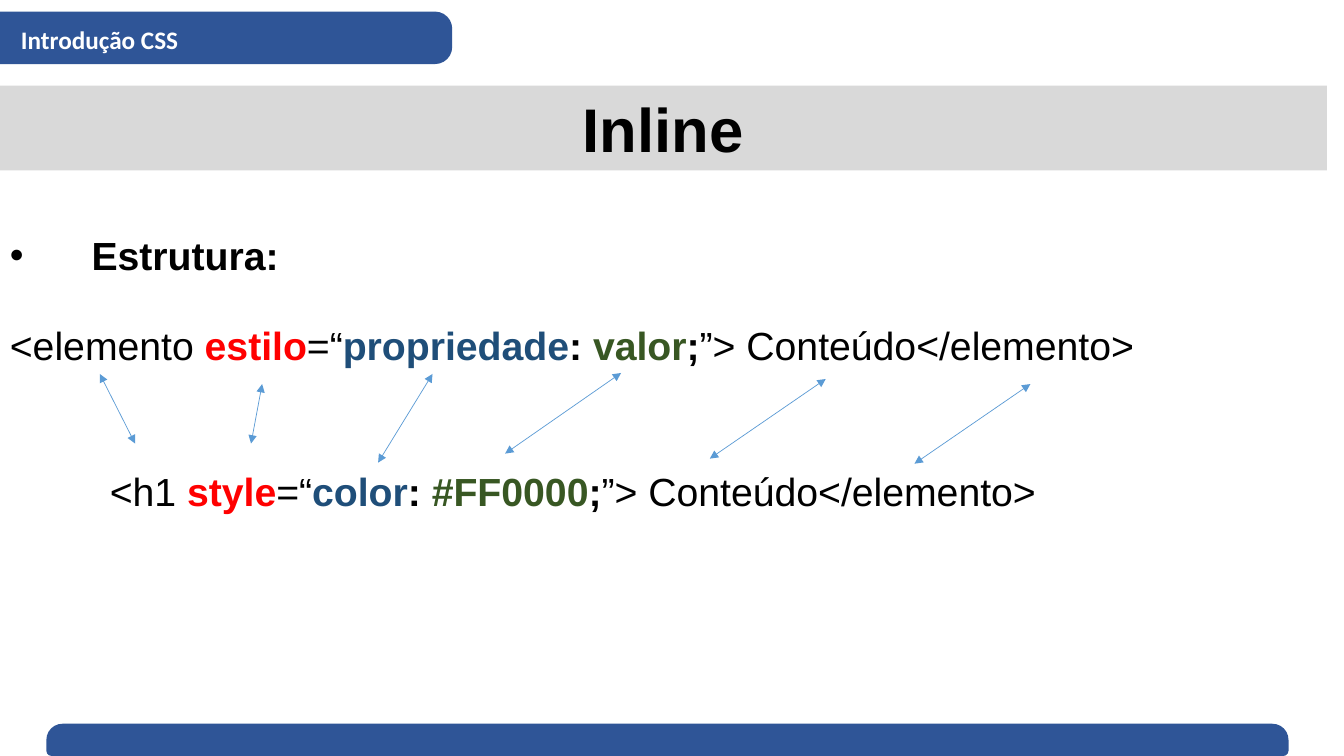
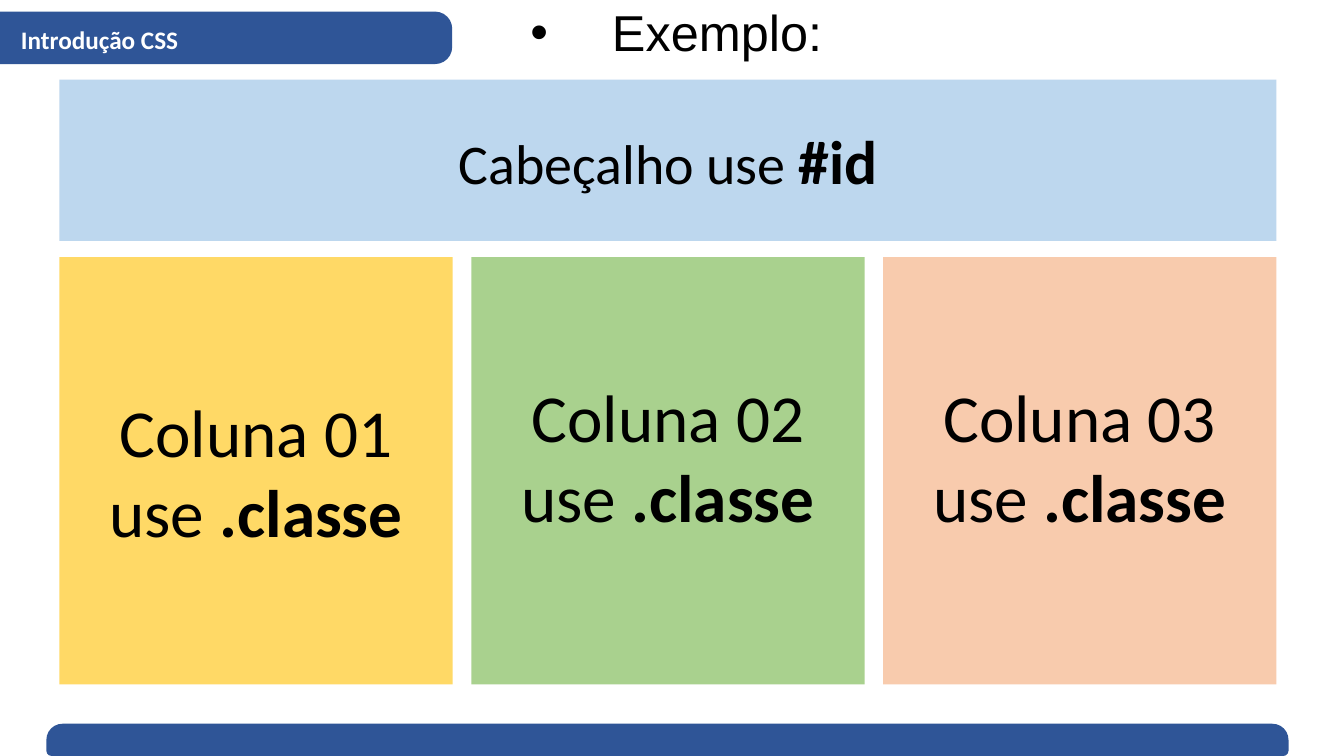
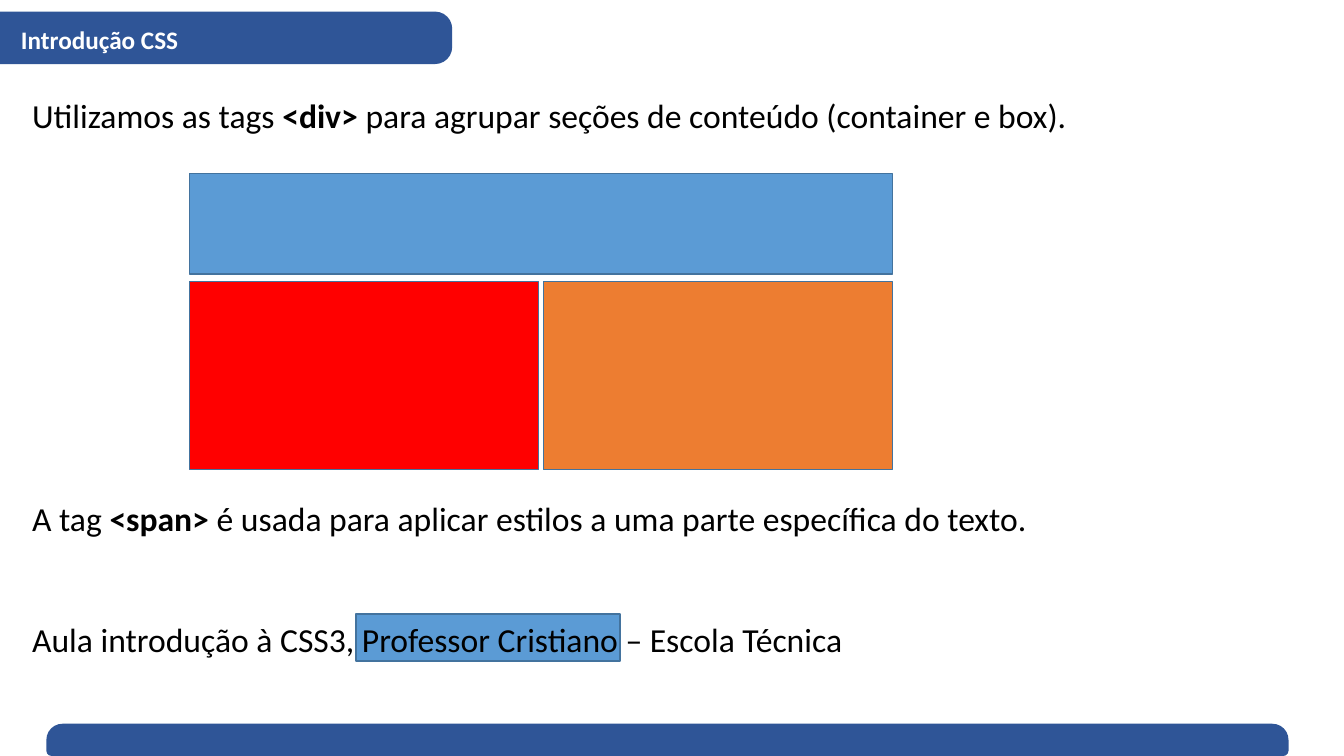
from lxml import etree
from pptx import Presentation
from pptx.dml.color import RGBColor
from pptx.enum.shapes import MSO_CONNECTOR, MSO_SHAPE
from pptx.enum.text import MSO_ANCHOR, MSO_AUTO_SIZE, PP_ALIGN
from pptx.oxml.ns import qn
from pptx.util import Inches, Pt

RECT, ROUND_TOP = MSO_SHAPE.RECTANGLE, MSO_SHAPE.ROUND_2_SAME_RECTANGLE
STRAIGHT = MSO_CONNECTOR.STRAIGHT
MIDDLE, NO_FIT = MSO_ANCHOR.MIDDLE, MSO_AUTO_SIZE.NONE
LEFT, CENTER = PP_ALIGN.LEFT, PP_ALIGN.CENTER

BLACK = RGBColor(0x00, 0x00, 0x00)
WHITE = RGBColor(0xFF, 0xFF, 0xFF)
NAVY = RGBColor(0x2F, 0x55, 0x97)
GRAY = RGBColor(0xD9, 0xD9, 0xD9)
RED = RGBColor(0xFF, 0x00, 0x00)
DARK_BLUE = RGBColor(0x1F, 0x4E, 0x79)
DARK_GREEN = RGBColor(0x38, 0x57, 0x23)
BLUE = RGBColor(0x5B, 0x9B, 0xD5)
BLUE_EDGE = RGBColor(0x43, 0x73, 0x9E)
ORANGE = RGBColor(0xED, 0x7D, 0x31)
PALE_BLUE = RGBColor(0xBD, 0xD7, 0xEE)
YELLOW = RGBColor(0xFF, 0xD9, 0x66)
GREEN = RGBColor(0xA9, 0xD1, 0x8E)
PEACH = RGBColor(0xF8, 0xCB, 0xAD)

CELL = Inches(0.1)  # side of one square cell of the layout grid


def add_box(s, x, y, w, h, fill=None, line=None, kind=RECT):
    """Add a shape, or a text box when there is no fill; lengths in cells."""
    at = [round(v * CELL) for v in (x, y, w, h)]
    if fill is None:
        sp = s.shapes.add_textbox(*at)
    else:
        sp = s.shapes.add_shape(kind, *at)
        sp.shadow.inherit = False
        sp.fill.solid()
        sp.fill.fore_color.rgb = fill
        if line is None:
            sp.line.fill.background()
        else:
            sp.line.color.rgb = line
            sp.line.width = Pt(1)
    sp.text_frame.word_wrap = True
    return sp


def write(p, font, size, *runs, align=LEFT):
    """Fill a paragraph with runs given as (text, bold, colour, size)."""
    p.alignment = align
    for text, bold, color, run_size in runs:
        r = p.add_run()
        r.text = text
        r.font.name = font
        r.font.size = Pt(run_size or size)
        r.font.bold = bold
        r.font.color.rgb = color


prs = Presentation()
prs.slide_width, prs.slide_height = Inches(13.33), Inches(7.5)
title_only, blank = prs.slide_layouts[5], prs.slide_layouts[6]
slides = [prs.slides.add_slide(layout) for layout in (title_only, title_only, blank)]
inline, example, tags = slides

# Footer band and section tab
for s in slides:
    footer = add_box(s, 4.6, 71.8, 123.2, 3.2, NAVY, kind=ROUND_TOP)
    footer.adjustments[0], footer.adjustments[1] = 0.5, 0.167
    tab = add_box(s, 19.8, -18.7, 5.2, 44.9, NAVY, kind=ROUND_TOP)
    tab.adjustments[0], tab.adjustments[1] = 0, 0.327
    tab.rotation = 270
    section = add_box(s, 1.1, 1.9, 30, 4)
    write(section.text_frame.paragraphs[0], "Calibri", 18, ("Introdução CSS", True, WHITE, None))

# Titles
for s, at, text, size, bold, align in (
    (inline, (0, 8.5, 131.6, 8.4), "Inline", 44, True, CENTER),
    (example, (51.6, -0.4, 36, 7.1), "Exemplo:", 36, False, LEFT),
):
    title = s.shapes.title
    title.left, title.top, title.width, title.height = [round(v * CELL) for v in at]
    title.text_frame.auto_size = NO_FIT
    title.text_frame.vertical_anchor = MIDDLE
    write(title.text_frame.paragraphs[0], "Arial", size, (text, bold, BLACK, None), align=align)
inline.shapes.title.fill.solid()
inline.shapes.title.fill.fore_color.rgb = GRAY

# Slide 1: inline syntax above its example
heading = add_box(inline, 0, 22.5, 131.6, 5.7)
write(heading.text_frame.paragraphs[0], "Arial", 28, ("Estrutura:", True, BLACK, None))

for sp in (heading, example.shapes.title):
    pPr = sp.text_frame.paragraphs[0]._p.get_or_add_pPr()
    pPr.set("marL", str(Inches(0.81)))
    pPr.set("indent", str(-Inches(0.81)))
    etree.SubElement(pPr, qn("a:buFont")).set("typeface", "Arial")
    etree.SubElement(pPr, qn("a:buChar")).set("char", "•")

for x, y, w, tag, attribute, prop, value in (
    (0, 31.4, 131.6, "elemento", "estilo", "propriedade", "valor"),
    (9.9, 45.9, 97.9, "h1", "style", "color", "#FF0000"),
):
    code = add_box(inline, x, y, w, 5.7)
    write(
        code.text_frame.paragraphs[0], "Arial", 28,
        (f"<{tag} ", False, BLACK, None),
        (attribute, True, RED, None),
        ("=“", False, BLACK, None),
        (prop, True, DARK_BLUE, None),
        (": ", True, BLACK, None),
        (value, True, DARK_GREEN, None),
        (";", True, BLACK, None),
        ("”> Conteúdo</elemento>", False, BLACK, None),
    )

for ends in (
    (9.9, 37.1, 13.4, 44),
    (26, 38.1, 24.9, 44),
    (42.9, 37.1, 37.5, 45.9),
    (61.6, 37, 50.1, 45),
    (81.9, 37.6, 70.4, 45.5),
    (102.2, 38.1, 90.7, 46),
):
    arrow = inline.shapes.add_connector(STRAIGHT, *[round(v * CELL) for v in ends])
    arrow.line.color.rgb = BLUE
    arrow.line.width = Pt(0.5)
    ln = arrow.line._get_or_add_ln()
    for end in ("a:headEnd", "a:tailEnd"):
        etree.SubElement(ln, qn(end)).set("type", "triangle")
    etree.SubElement(arrow._element.spPr, qn("a:effectLst"))

# Slide 2: page header over three columns
left, width, gap = 5.9, 120.7, 1.85
header = add_box(example, left, 7.9, width, 16, PALE_BLUE)
header.text_frame.vertical_anchor = MIDDLE
write(
    header.text_frame.paragraphs[0], "Calibri", 40,
    ("Cabeçalho use ", False, BLACK, None), ("#id", True, BLACK, 44), align=CENTER,
)
column_width = (width - 2 * gap) / 3
for i, (fill, bottom) in enumerate(((YELLOW, 0.05), (GREEN, 0.35), (PEACH, 0.35))):
    column = add_box(example, left + i * (column_width + gap), 25.5, column_width, 42.4, fill)
    tf = column.text_frame
    tf.vertical_anchor = MIDDLE
    tf.margin_bottom = Inches(bottom)
    write(tf.paragraphs[0], "Calibri", 48, (f"Coluna 0{i + 1}", False, BLACK, None), align=CENTER)
    write(
        tf.add_paragraph(), "Calibri", 48,
        ("use ", False, BLACK, None), (".classe", True, BLACK, None), align=CENTER,
    )

# Slide 3: div blocks and a span highlight
add_box(tags, 35.3, 60.9, 26.2, 4.7, BLUE, BLUE_EDGE)
for row, before, tag, after in (
    (0, "Utilizamos as tags ", "<div> ", "para agrupar seções de conteúdo (container e box)."),
    (10, "A tag ", "<span> ", "é usada para aplicar estilos a uma parte específica do texto."),
    (13, "Aula introdução à CSS3, Professor Cristiano – Escola Técnica", "", ""),
):
    sentence = add_box(tags, 2.2, 8.9 + 4 * row, 128.1, 5)
    runs = [(text, text == tag, BLACK, None) for text in (before, tag, after) if text]
    write(sentence.text_frame.paragraphs[0], "Calibri", 24, *runs)

left, width, gap = 18.8, 69.7, 0.5
add_box(tags, left, 17.2, width, 10, BLUE, BLUE_EDGE)
block_width = (width - gap) / 2
for i, fill in enumerate((RED, ORANGE)):
    add_box(tags, left + i * (block_width + gap), 27.9, block_width, 18.7, fill, BLUE_EDGE)

prs.save("out.pptx")
